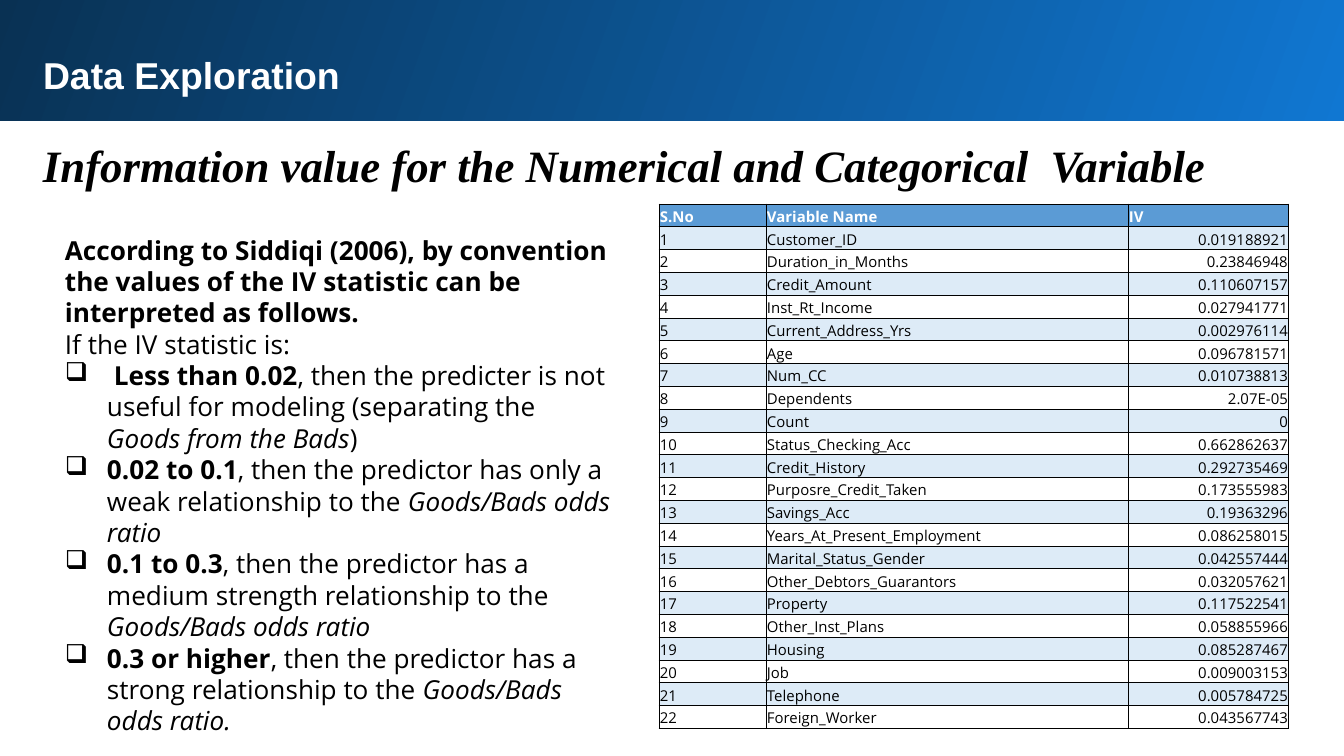
from lxml import etree
from pptx import Presentation
from pptx import util as u
from pptx.dml.color import RGBColor
from pptx.enum import shapes, text
from pptx.oxml import ns

TITLE = "Data Exploration"
HEADING = "Information value for the Numerical and Categorical  Variable"
INTRO = [
    [("According to Siddiqi (2006), by convention the values of the IV statistic "
      "can be interpreted as follows.", "bold")],
    [("If the IV statistic is:", "plain")],
]
RULES = [
    (" Less than 0.02", ", then the predicter is not useful for modeling (separating the ",
     "Goods from the Bads", ")"),
    ("0.02 to 0.1", ", then the predictor has only a weak relationship to the ",
     "Goods/Bads odds ratio", ""),
    ("0.1 to 0.3", ", then the predictor has a medium strength relationship to the ",
     "Goods/Bads odds ratio", ""),
    ("0.3 or higher", ", then the predictor has a strong relationship to the ",
     "Goods/Bads odds ratio.", ""),
]
HEADER = ("S.No", "Variable Name", "IV")
VARIABLES = [
    ("Customer_ID", "0.019188921"),
    ("Duration_in_Months", "0.23846948"),
    ("Credit_Amount", "0.110607157"),
    ("Inst_Rt_Income", "0.027941771"),
    ("Current_Address_Yrs", "0.002976114"),
    ("Age", "0.096781571"),
    ("Num_CC", "0.010738813"),
    ("Dependents", "2.07E-05"),
    ("Count", "0"),
    ("Status_Checking_Acc", "0.662862637"),
    ("Credit_History", "0.292735469"),
    ("Purposre_Credit_Taken", "0.173555983"),
    ("Savings_Acc", "0.19363296"),
    ("Years_At_Present_Employment", "0.086258015"),
    ("Marital_Status_Gender", "0.042557444"),
    ("Other_Debtors_Guarantors", "0.032057621"),
    ("Property", "0.117522541"),
    ("Other_Inst_Plans", "0.058855966"),
    ("Housing", "0.085287467"),
    ("Job", "0.009003153"),
    ("Telephone", "0.005784725"),
    ("Foreign_Worker", "0.043567743"),
]

WHITE = RGBColor(0xFF, 0xFF, 0xFF)
BLACK = RGBColor(0x00, 0x00, 0x00)
BRIGHT_BLUE = RGBColor(0x10, 0x77, 0xD2)
DARK_BLUE = RGBColor(0x09, 0x31, 0x53)
HEADER_BLUE = RGBColor(0x5B, 0x9B, 0xD5)
STRIPE_BLUE = RGBColor(0xDD, 0xEB, 0xF7)

EMU_PER_PX = 914400 / 134.4
BAND_BOX = (-3, -3, 1351, 124)
TITLE_BOX = (30, 39, 1259, 69)
HEADING_BOX = (30, 117, 1259, 85)
RULES_BOX = (58, 227, 562, 520)
TABLE_BOX = (659, 204, 630, 525)
COLUMN_WIDTHS = (107, 362, 161)
BULLET_INDENT = 42


def px(length):
    return u.Emu(round(length * EMU_PER_PX))


def box(lengths):
    return [px(length) for length in lengths]


def style_run(run, name, size, color, bold=False, italic=False):
    font = run.font
    font.name, font.size, font.bold, font.italic = name, u.Pt(size), bold, italic
    font.color.rgb = color


def set_frame(frame, inset):
    frame.word_wrap = True
    frame.auto_size = text.MSO_AUTO_SIZE.NONE
    frame.vertical_anchor = text.MSO_ANCHOR.TOP
    frame.margin_left = frame.margin_right = px(inset)
    frame.margin_top = frame.margin_bottom = px(inset)


def add_band(slide):
    band = slide.shapes.add_shape(shapes.MSO_SHAPE.RECTANGLE, *box(BAND_BOX))
    band.shadow.inherit = False
    band.line.fill.background()
    band.fill.gradient()
    band.fill.gradient_angle = 160
    for stop, color in zip(band.fill.gradient_stops, (BRIGHT_BLUE, DARK_BLUE)):
        stop.color.rgb = color
    slide.shapes.title._element.addprevious(band._element)


def set_title(slide):
    title = slide.shapes.title
    title.left, title.top, title.width, title.height = box(TITLE_BOX)
    title.text_frame.text = TITLE
    set_frame(title.text_frame, 13)
    paragraph = title.text_frame.paragraphs[0]
    paragraph.alignment = text.PP_ALIGN.LEFT
    style_run(paragraph.runs[0], "Arial", 20, WHITE, bold=True)


def add_heading(slide):
    frame = slide.shapes.add_textbox(*box(HEADING_BOX)).text_frame
    frame.text = HEADING
    set_frame(frame, 13)
    paragraph = frame.paragraphs[0]
    paragraph.line_spacing = 1.15
    style_run(paragraph.runs[0], "Times New Roman", 24, BLACK, bold=True, italic=True)


def add_bullet(paragraph):
    properties = paragraph._p.get_or_add_pPr()
    properties.set("marL", str(px(BULLET_INDENT)))
    properties.set("indent", str(px(-BULLET_INDENT)))
    etree.SubElement(properties, ns.qn("a:buChar")).set("char", "❑")


def add_rules(slide):
    frame = slide.shapes.add_textbox(*box(RULES_BOX)).text_frame
    set_frame(frame, 7)
    styles = ("bold", "plain", "italic", "plain")
    rules = [[part for part in zip(rule, styles) if part[0]] for rule in RULES]
    for index, parts in enumerate(INTRO + rules):
        paragraph = frame.add_paragraph() if index else frame.paragraphs[0]
        if index >= len(INTRO):
            add_bullet(paragraph)
        for words, style in parts:
            run = paragraph.add_run()
            run.text = words
            style_run(run, "Open Sans", 14, BLACK, style == "bold", style == "italic")


def add_borders(cell):
    properties = cell._tc.get_or_add_tcPr()
    for side in ("lnL", "lnR", "lnT", "lnB"):
        line = etree.SubElement(properties, ns.qn(f"a:{side}"), w=str(u.Pt(0.5)))
        fill = etree.SubElement(line, ns.qn("a:solidFill"))
        etree.SubElement(fill, ns.qn("a:srgbClr"), val=str(BLACK))


def fill_cell(cell, words, row, column):
    cell.text = words
    cell.vertical_anchor = text.MSO_ANCHOR.BOTTOM
    cell.margin_left = cell.margin_right = cell.margin_top = px(1)
    cell.margin_bottom = 0
    add_borders(cell)
    if row % 2 or row == 0:
        cell.fill.solid()
        cell.fill.fore_color.rgb = STRIPE_BLUE if row else HEADER_BLUE
    else:
        cell.fill.background()
    paragraph = cell.text_frame.paragraphs[0]
    if row and column == 2:
        paragraph.alignment = text.PP_ALIGN.RIGHT
    style_run(paragraph.runs[0], "Open Sans", 8, BLACK if row else WHITE, bold=row == 0)


def add_variable_table(slide):
    rows = [HEADER] + [(str(number), *variable) for number, variable in enumerate(VARIABLES, 1)]
    table = slide.shapes.add_table(len(rows), len(HEADER), *box(TABLE_BOX)).table
    table.horz_banding = False
    for column, width in zip(table.columns, COLUMN_WIDTHS):
        column.width = px(width)
    for row, values in enumerate(rows):
        table.rows[row].height = px(TABLE_BOX[3] / len(rows))
        for column, words in enumerate(values):
            fill_cell(table.cell(row, column), words, row, column)


def main():
    presentation = Presentation()
    presentation.slide_width, presentation.slide_height = px(1344), px(756)
    slide = presentation.slides.add_slide(presentation.slide_layouts[5])
    set_title(slide)
    add_band(slide)
    add_heading(slide)
    add_variable_table(slide)
    add_rules(slide)
    presentation.save("out.pptx")


if __name__ == "__main__":
    main()
